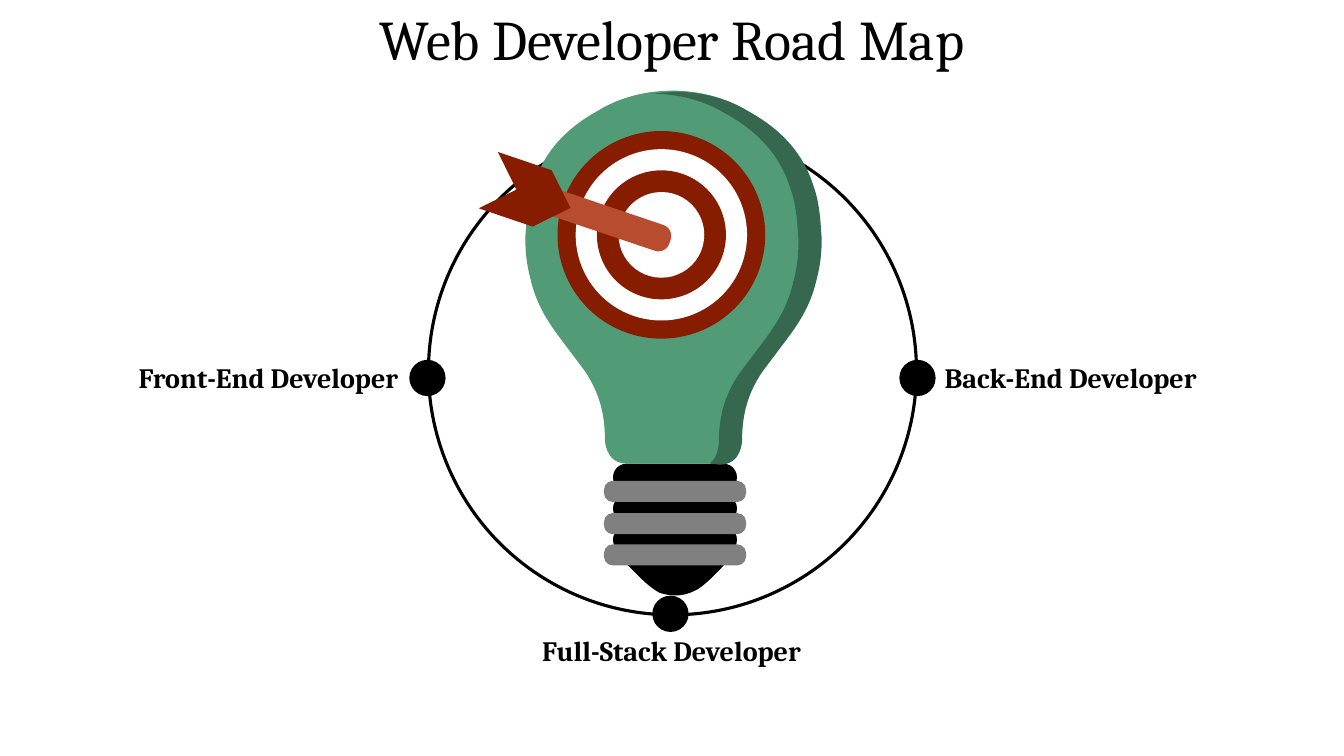
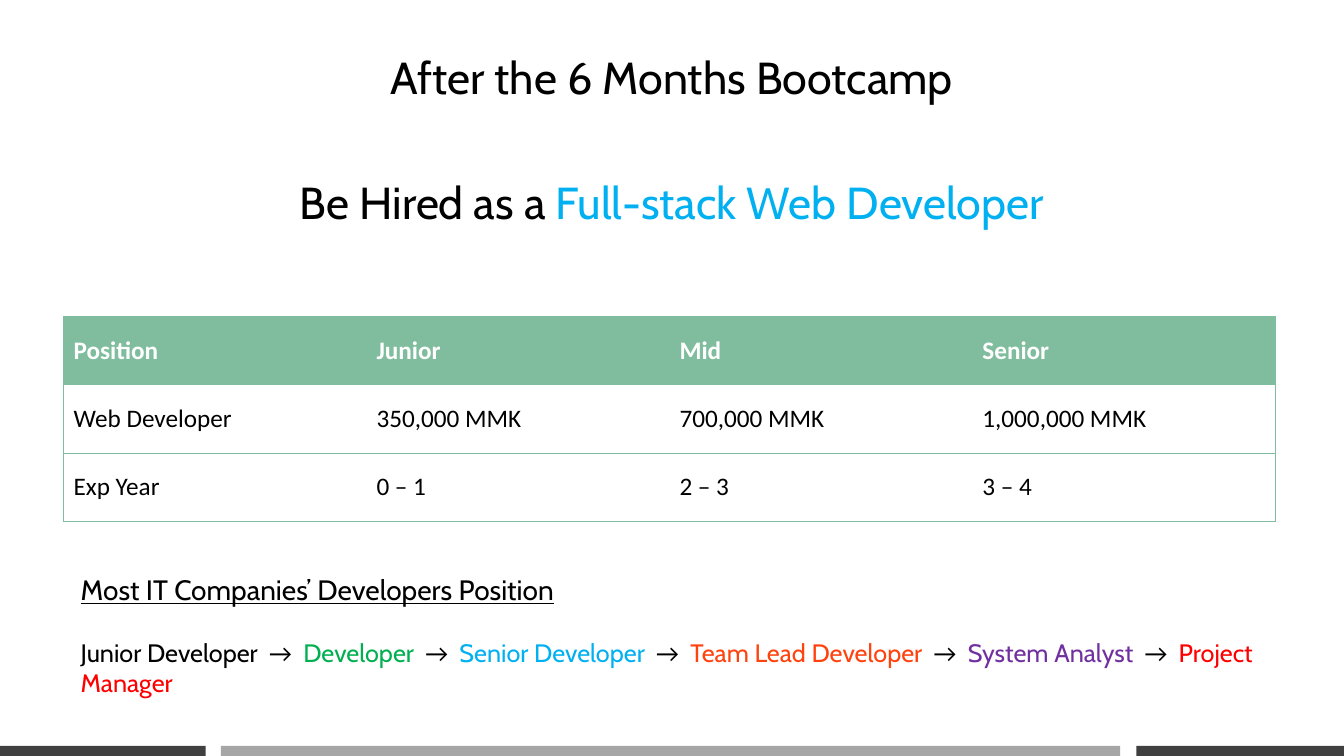
"""Build the two web developer career slides."""
from lxml.etree import SubElement
from pptx import Presentation
from pptx.dml.color import RGBColor
from pptx.enum.shapes import MSO_SHAPE
from pptx.enum.text import MSO_ANCHOR, MSO_AUTO_SIZE, PP_ALIGN
from pptx.oxml import parse_xml
from pptx.oxml.ns import nsdecls, qn
from pptx.util import Inches, Pt

COLORS = {
    "black": "000000", "white": "FFFFFF", "gray": "808080",
    "band": "A6A6A6", "band_dark": "404040",
    "bulb": "519C76", "bulb_shade": "36684F",
    "target": "861D00", "shaft": "B74C2F", "table": "80BD9E",
    "green": "00B050", "blue": "00B0F0", "orange": "FF420E",
    "purple": "7030A0", "red": "FF0000",
}
WIDTH, HEIGHT = 13.33, 7.5
AXIS = 6.67
LINE, CURVE = 1, 3
BULB_SIDE = [
    (AXIS, 0.9),
    (6.92, 0.9, 7.16, 0.96, 7.36, 1.07),
    (7.48, 1.14),
    (7.71, 1.28, 7.94, 1.49, 8.05, 1.84),
    (8.09, 1.95, 8.11, 2.08, 8.12, 2.22),
    (8.13, 2.36),
    (8.13, 2.52, 8.11, 2.65, 8.08, 2.76),
    (8.01, 3.08, 7.84, 3.28, 7.69, 3.48),
    (7.54, 3.68),
    (7.42, 3.86, 7.34, 4.06, 7.34, 4.36),
    (7.34, 4.36, 7.34, 4.6, 7.12, 4.6),
]
SHADE_FOOT = [(7.13, 4.39), (7.13, 4.53), (7.04, 4.6)]
BASE_TIP = [
    (6.13, 5.52), (7.26, 5.53),
    (7.15, 5.63, 7.06, 5.75, 6.93, 5.84),
    (6.81, 5.91, 6.69, 5.93, 6.54, 5.88),
    (6.38, 5.79, 6.27, 5.63, 6.13, 5.52),
]
SALARIES = [
    ["Position", "Junior", "Mid", "Senior"],
    ["Web Developer", "350,000 MMK", "700,000 MMK", "1,000,000 MMK"],
    ["Exp Year", "0 – 1", "2 – 3", "3 – 4"],
]
CAREER = [
    ("Junior Developer", "black"), ("Developer", "green"),
    ("Senior Developer", "blue"), ("Team Lead Developer", "orange"),
    ("System Analyst", "purple"), ("Project Manager", "red"),
]


def rgb(name):
    return RGBColor.from_string(COLORS[name])


def write(paragraph, text, font="Cabin", size=18, color="black", bold=False,
          underline=False, spacing=0):
    run = paragraph.add_run()
    run.text = text
    run.font.name = font
    run.font.size = Pt(size)
    run.font.bold = bold
    run.font.underline = underline
    run.font.color.rgb = rgb(color)
    if spacing:
        run._r.get_or_add_rPr().set("spc", str(spacing * 100))


def unpack(segments):
    points = [pair for segment in segments
              for pair in zip(segment[::2], segment[1::2])]
    return points, [len(segment) // 2 for segment in segments[1:]]


def shift(points, dx, dy):
    return [(x + dx, y + dy) for x, y in points]


class Deck:
    def __init__(self):
        self.presentation = Presentation()
        self.presentation.slide_width = Inches(WIDTH)
        self.presentation.slide_height = Inches(HEIGHT)
        self.slide = None

    def new_slide(self, layout):
        layouts = self.presentation.slide_layouts
        self.slide = self.presentation.slides.add_slide(layouts.get_by_name(layout))

    def frame(self, holder):
        frame = holder.text_frame
        frame.word_wrap = True
        frame.auto_size = MSO_AUTO_SIZE.NONE
        frame.vertical_anchor = MSO_ANCHOR.TOP
        return frame

    def placeholder(self, index, x, y, w, h):
        holder = self.slide.placeholders[index]
        holder.left, holder.top = Inches(x), Inches(y)
        holder.width, holder.height = Inches(w), Inches(h)
        return self.frame(holder)

    def paragraph(self, frame, align, before=0, first=False):
        paragraph = frame.paragraphs[0] if first else frame.add_paragraph()
        paragraph.alignment = align
        paragraph.space_before = Pt(before)
        properties = paragraph._p.get_or_add_pPr()
        properties.set("marL", "0")
        properties.set("indent", "0")
        SubElement(properties, qn("a:buNone"))
        return paragraph

    def label(self, text, x, y, align):
        box = self.slide.shapes.add_textbox(
            Inches(x), Inches(y), Inches(3.08), Inches(0.44))
        paragraph = self.paragraph(self.frame(box), align, first=True)
        write(paragraph, text, font="Cambria", size=20, bold=True)

    def paint(self, shape, fill):
        shape.shadow.inherit = False
        shape.fill.solid()
        shape.fill.fore_color.rgb = rgb(fill)
        shape.line.fill.background()

    def shape(self, kind, x, y, w, h, fill, round_by=None, rotation=0):
        shape = self.slide.shapes.add_shape(
            kind, Inches(x), Inches(y), Inches(w), Inches(h))
        self.paint(shape, fill)
        shape.rotation = rotation
        if round_by is not None:
            shape.adjustments[0] = round_by
        return shape

    def disc(self, x, y, diameter, fill):
        corner = diameter / 2
        self.shape(MSO_SHAPE.OVAL, x - corner, y - corner, diameter, diameter, fill)

    def ring(self, x, y, diameter):
        ring = self.shape(MSO_SHAPE.FLOWCHART_CONNECTOR, x, y, diameter, diameter, "white")
        ring.fill.background()
        ring.line.color.rgb = rgb("black")
        ring.line.width = Pt(2.25)

    def outline(self, points, kinds, fill):
        scaled = [(Inches(x), Inches(y)) for x, y in points]
        builder = self.slide.shapes.build_freeform(*scaled[0])
        builder.add_line_segments(scaled[1:], close=True)
        shape = builder.convert_to_shape()
        steps = iter(list(shape._element.iter(qn("a:lnTo"))))
        for kind in kinds:
            step = next(steps)
            if kind == CURVE:
                step.addprevious(curve := parse_xml(f"<a:cubicBezTo {nsdecls('a')}/>"))
                for part in (step, next(steps), next(steps)):
                    curve.append(part[0])
                    part.getparent().remove(part)
        self.paint(shape, fill)

    def borders(self, cell, visible):
        properties = cell._tc.get_or_add_tcPr()
        for index, side in enumerate("LRTB"):
            paint = "<a:noFill/>"
            if side in visible:
                paint = (f'<a:solidFill><a:srgbClr val="{COLORS["table"]}"/>'
                         '</a:solidFill>')
            properties.insert(index, parse_xml(
                f'<a:ln{side} {nsdecls("a")} w="{Pt(0.5)}">{paint}</a:ln{side}>'))

    def table(self, rows, x, y, width, height):
        columns = len(rows[0])
        table = self.slide.shapes.add_table(
            len(rows), columns, Inches(x), Inches(y),
            Inches(width), Inches(height)).table
        table.horz_banding = False
        for r, row in enumerate(rows):
            for c, text in enumerate(row):
                cell = table.cell(r, c)
                cell.vertical_anchor = MSO_ANCHOR.MIDDLE
                header = r == 0
                if header:
                    cell.fill.solid()
                    cell.fill.fore_color.rgb = rgb("table")
                else:
                    cell.fill.background()
                write(cell.text_frame.paragraphs[0], text, font="Calibri",
                      color="white" if header else "black", bold=header)
                sides = "TB" + "L" * (c == 0) + "R" * (c == columns - 1)
                self.borders(cell, sides)


def road_map(deck):
    deck.new_slide("Title Only")
    title = deck.placeholder(0, 0, -0.01, WIDTH, 0.77)
    write(deck.paragraph(title, PP_ALIGN.CENTER, first=True),
          "Web Developer Road Map", font="Cambria", size=40)

    deck.ring(4.25, 1.26, 4.84)
    for x, y in [(9.1, 3.75), (6.65, 6.09), (4.24, 3.75)]:
        deck.disc(x, y, 0.36, "black")

    for thread in range(3):
        deck.shape(MSO_SHAPE.ROUNDED_RECTANGLE, 6.08, 4.6 + 0.31 * thread,
                   1.23, 0.27, "black", round_by=0.5)
    deck.outline(*unpack(BASE_TIP), "black")
    for y in (4.77, 5.09, 5.4):
        deck.shape(MSO_SHAPE.ROUNDED_RECTANGLE, 5.99, y,
                   1.41, 0.21, "gray", round_by=0.42)

    side, kinds = unpack(BULB_SIDE)
    there_and_back = kinds + [LINE] + kinds[::-1]
    mirrored = [(2 * AXIS - x, y) for x, y in side]
    deck.outline(side + mirrored[::-1], there_and_back, "bulb")
    for diameter, fill in [(2.06, "target"), (1.7, "white"),
                           (1.28, "target"), (0.85, "white")]:
        deck.disc(6.56, 2.33, diameter, fill)
    deck.shape(MSO_SHAPE.ROUNDED_RECTANGLE, 5.36, 2.05, 1.32, 0.27, "shaft",
               round_by=0.42, rotation=18.7)
    deck.shape(MSO_SHAPE.CHEVRON, 4.82, 1.63, 0.86, 0.59, "target", rotation=18.7)
    inner_edge = shift(side[:-3], -0.21, 0.03) + SHADE_FOOT
    deck.outline(shift(side, 0.02, 0.01) + inner_edge[::-1],
                 there_and_back, "bulb_shade")

    deck.label("Back-End Developer", 9.27, 3.53, PP_ALIGN.LEFT)
    deck.label("Front-End Developer", 0.97, 3.53, PP_ALIGN.RIGHT)
    deck.label("Full-Stack Developer", 5.12, 6.24, PP_ALIGN.CENTER)


def bootcamp(deck):
    deck.new_slide("Title and Content")
    for x, width, fill in [(2.19, 8.92, "band"), (11.27, 2.06, "band_dark"),
                           (-0.02, 2.06, "band_dark")]:
        deck.shape(MSO_SHAPE.RECTANGLE, x, 7.4, width, 0.11, fill)

    title = deck.placeholder(0, 0, 0.44, WIDTH, 1.88)
    write(deck.paragraph(title, PP_ALIGN.CENTER, before=6, first=True),
          "After the 6 Months Bootcamp", size=32)
    promise = deck.paragraph(title, PP_ALIGN.CENTER, before=51)
    write(promise, "Be Hired as a ", size=32)
    write(promise, "Full-stack Web Developer", size=32, color="blue")

    deck.table(SALARIES, 0.63, 3.14, 12.02, 2.03)

    positions = deck.placeholder(1, 0.7, 5.63, 12.02, 1.04)
    write(deck.paragraph(positions, PP_ALIGN.LEFT, first=True),
          "Most IT Companies’ Developers Position", size=20, underline=True)
    ladder = deck.paragraph(positions, PP_ALIGN.LEFT, before=22)
    for step, (job, color) in enumerate(CAREER):
        if step:
            write(ladder, " ", spacing=4)
            write(ladder, "→ ", font="Calibri", spacing=2)
        write(ladder, job, color=color)


def main():
    deck = Deck()
    road_map(deck)
    bootcamp(deck)
    deck.presentation.save("out.pptx")


if __name__ == "__main__":
    main()
